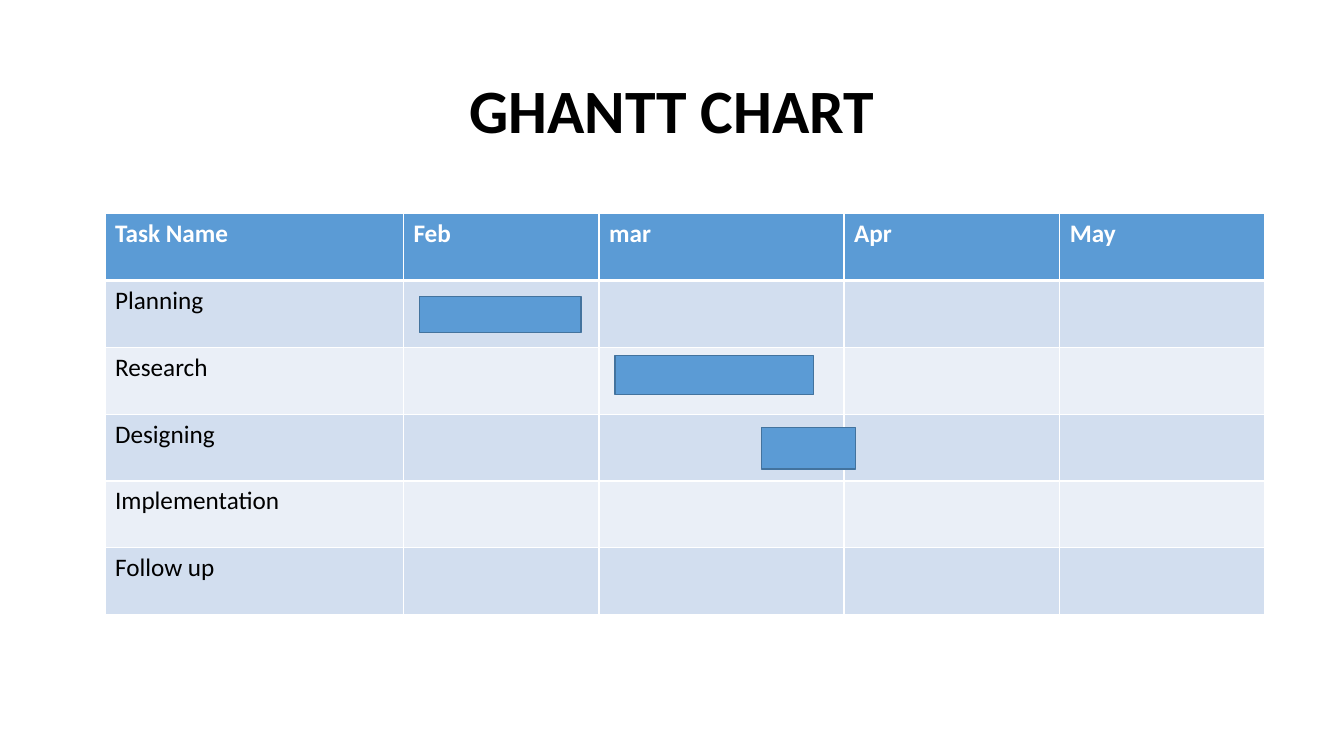
from lxml import etree
from pptx import Presentation
from pptx import util as u
from pptx.dml import color
from pptx.enum import shapes, text
from pptx.oxml import ns


def paint(target, hex_color):
    target.solid()
    target.fore_color.rgb = color.RGBColor.from_string(hex_color)


def write(paragraph, words, size, hex_color, bold):
    run = paragraph.add_run()
    run.text = words
    run.font.name = "Calibri"
    run.font.size = u.Pt(size)
    run.font.bold = bold
    paint(run.font.fill, hex_color)


deck = Presentation()
deck.slide_width = u.Pt(960)
deck.slide_height = u.Pt(540)
slide = deck.slides.add_slide(deck.slide_layouts[5])

heading = slide.shapes.title
heading.left, heading.top = u.Pt(66), u.Pt(28.75)
heading.width, heading.height = u.Pt(828), u.Pt(104.4)
heading.text_frame.auto_size = text.MSO_AUTO_SIZE.NONE
heading.text_frame.vertical_anchor = text.MSO_ANCHOR.MIDDLE
heading_line = heading.text_frame.paragraphs[0]
heading_line.alignment = text.PP_ALIGN.CENTER
heading_line.line_spacing = 0.9
write(heading_line, "GHANTT CHART", 44, "000000", True)

months = ["Task Name", "Feb", "mar", "Apr", "May"]
tasks = ["Planning", "Research", "Designing", "Implementation", "Follow up"]
month_widths = [213.2, 139.7, 175, 154.1, 146.4]
row_height = 47.75

schedule = slide.shapes.add_table(
    len(tasks) + 1, len(months), u.Pt(75), u.Pt(152.6),
    u.Pt(sum(month_widths)), u.Pt(row_height * (len(tasks) + 1))).table
for column, width in zip(schedule.columns, month_widths):
    column.width = u.Pt(width)

rows = [months] + [[task] + [""] * (len(months) - 1) for task in tasks]
for r, labels in enumerate(rows):
    schedule.rows[r].height = u.Pt(row_height)
    for c, label in enumerate(labels):
        cell = schedule.cell(r, c)
        edges = cell._tc.get_or_add_tcPr()
        for side in "LRTB":
            thick = (r, side) in [(0, "B"), (1, "T")]
            edge = etree.SubElement(edges, ns.qn("a:ln" + side), w=str(u.Pt(3 if thick else 1)))
            edge_fill = etree.SubElement(edge, ns.qn("a:solidFill"))
            etree.SubElement(edge_fill, ns.qn("a:srgbClr"), val="FFFFFF")
        paint(cell.fill, "5B9BD5" if r == 0 else "D2DEEF" if r % 2 else "EAEFF7")
        if label:
            write(cell.text_frame.paragraphs[0], label, 18, "000000" if r else "FFFFFF", r == 0)

spans = [
    (299.5, 211.7, 115.5, 25.9),
    (439.4, 254, 141.8, 28),
    (544.1, 305.3, 67.1, 29.8),
]
for span in spans:
    bar = slide.shapes.add_shape(shapes.MSO_SHAPE.RECTANGLE, *[u.Pt(length) for length in span])
    bar.shadow.inherit = False
    paint(bar.fill, "5B9BD5")
    paint(bar.line.fill, "43739E")
    bar.line.width = u.Pt(1)

deck.save("out.pptx")
